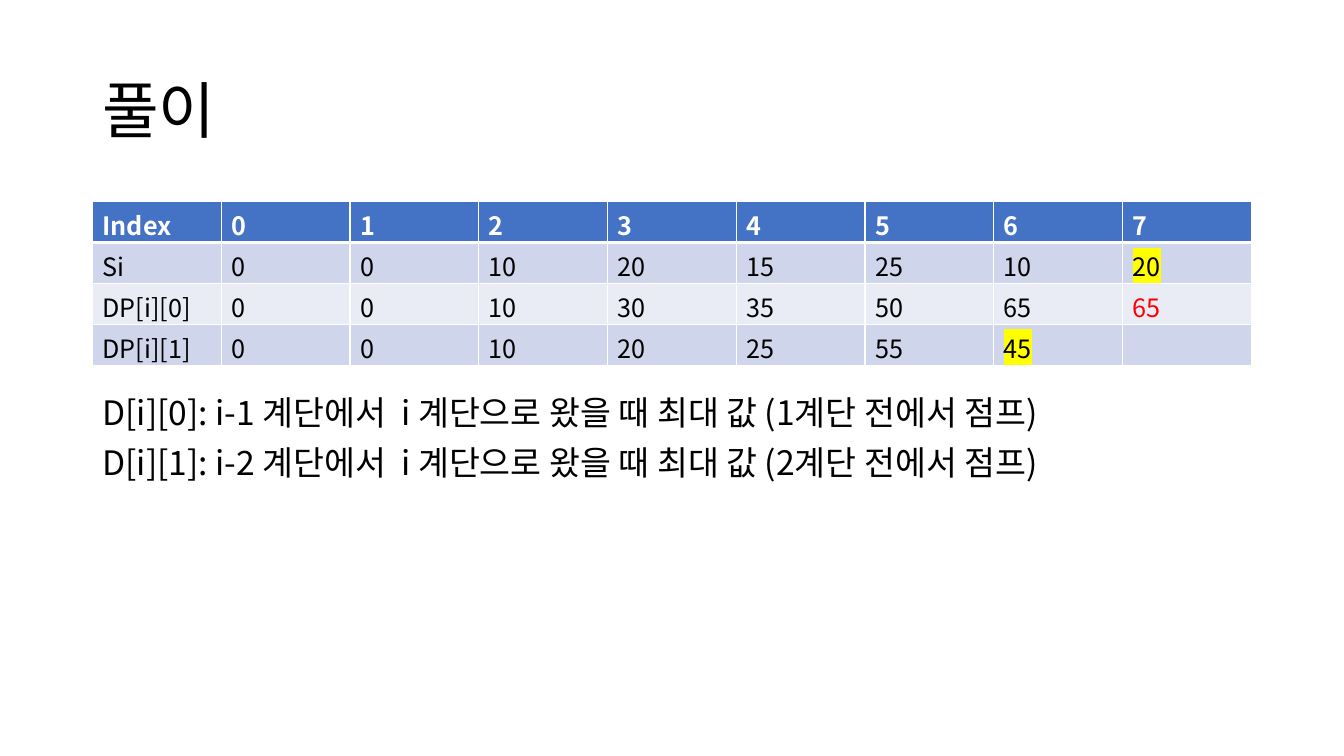
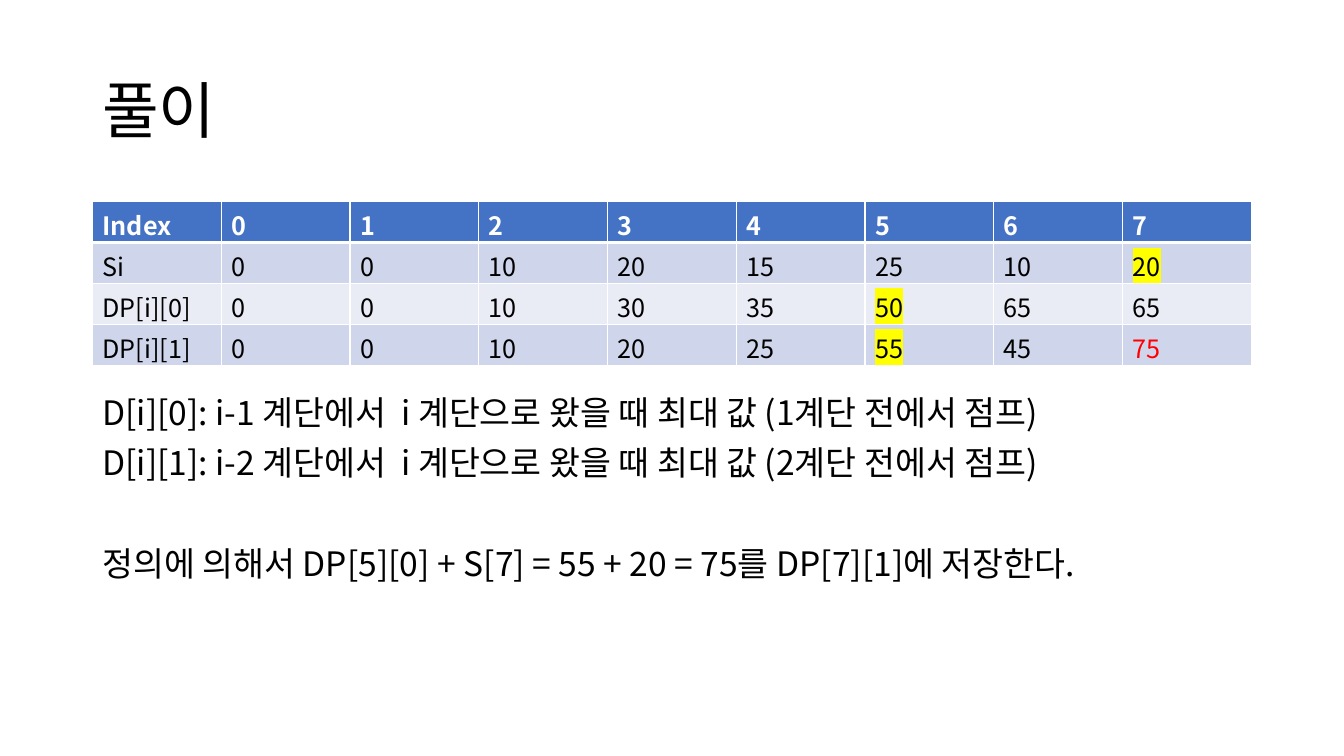
from dataclasses import dataclass

import pptx
import pptx.dml.color
import pptx.enum.text
import pptx.oxml
import pptx.oxml.ns
import pptx.util
from pptx.util import Cm

# Content
HEADING = "풀이"
DEFINITIONS = [
    "D[i][0]: i-1 계단에서  i 계단으로 왔을 때 최대 값 (1계단 전에서 점프)",
    "D[i][1]: i-2 계단에서  i 계단으로 왔을 때 최대 값 (2계단 전에서 점프)",
]
STAIRS = [
    ["Index", 0, 1, 2, 3, 4, 5, 6, 7],
    ["Si", 0, 0, 10, 20, 15, 25, 10, 20],
    ["DP[i][0]", 0, 0, 10, 30, 35, 50, 65, 65],
]
TWO_STEP = ["DP[i][1]", 0, 0, 10, 20, 25, 55, 45]

# Each step: last value of DP[i][1], (row, column) of used and found cells, conclusion
STEPS = [
    {"last": "", "used": {(1, 8), (3, 7)}, "found": (2, 8), "conclusion": None},
    {"last": 75, "used": {(1, 8), (2, 6), (3, 6)}, "found": (3, 8),
     "conclusion": "정의에 의해서 DP[5][0] + S[7] = 55 + 20 = 75를 DP[7][1]에 저장한다."},
]


@dataclass(frozen=True)
class Theme:
    font: str = "Noto Sans CJK KR"
    heading_size: int = 44
    body_size: int = 24
    table_size: int = 18
    text: str = "000000"
    header_text: str = "FFFFFF"
    found: str = "FF0000"
    used: str = "FFFF00"
    header_fill: str = "4472C4"
    bands: tuple = ("E9EBF5", "CFD5EA")
    grid: str = "FFFFFF"
    line_spacing: float = 0.9
    paragraph_gap: int = 10
    conclusion_gap: int = 46


THEME = Theme()

# Layout
LEFT, WIDTH = Cm(2.33), Cm(29.21)
HEADING_TOP, HEADING_HEIGHT = Cm(1.01), Cm(3.68)
TABLE_TOP, ROW_HEIGHT = Cm(5.08), Cm(1.03)
BODY_TOP, BODY_HEIGHT = Cm(9.86), Cm(7.29)


def rgb(value):
    return pptx.dml.color.RGBColor.from_string(value)


def xml_child(parent, markup):
    child = pptx.oxml.parse_xml(markup.replace(">", f" {pptx.oxml.ns.nsdecls('a')}>", 1))
    parent.append(child)


def add_run(paragraph, text, size, color=THEME.text, bold=False, highlight=None):
    run = paragraph.add_run()
    run.text = text
    run.font.size = pptx.util.Pt(size)
    run.font.bold = bold
    run.font.color.rgb = rgb(color)
    properties = run._r.get_or_add_rPr()
    if highlight:
        xml_child(properties, f'<a:highlight><a:srgbClr val="{highlight}"/></a:highlight>')
    run.font.name = THEME.font
    xml_child(properties, f'<a:ea typeface="{THEME.font}"></a:ea>')


def add_text(slide, top, height, lines, size, anchor):
    """Add one text box; lines holds (text, points before) pairs."""
    frame = slide.shapes.add_textbox(LEFT, top, WIDTH, height).text_frame
    frame.word_wrap = True
    frame.vertical_anchor = anchor
    for number, (text, gap) in enumerate(lines):
        paragraph = frame.add_paragraph() if number else frame.paragraphs[0]
        paragraph.line_spacing = THEME.line_spacing
        paragraph.space_before = pptx.util.Pt(gap)
        add_run(paragraph, text, size)


def add_borders(cell, row):
    properties = cell._tc.get_or_add_tcPr()
    points = {"L": 1, "R": 1, "T": 3 if row == 1 else 1, "B": 3 if row == 0 else 1}
    for side, width in points.items():
        xml_child(properties,
                  f'<a:ln{side} w="{pptx.util.Pt(width)}"><a:solidFill>'
                  f'<a:srgbClr val="{THEME.grid}"/></a:solidFill></a:ln{side}>')


def add_stairs_table(slide, step):
    values = STAIRS + [TWO_STEP + [step["last"]]]
    columns = len(values[0])
    table = slide.shapes.add_table(len(values), columns, LEFT, TABLE_TOP,
                                   WIDTH, ROW_HEIGHT * len(values)).table
    table.horz_banding = False
    for column in table.columns:
        column.width = WIDTH // columns
    for row, row_values in enumerate(values):
        table.rows[row].height = ROW_HEIGHT
        is_header = row == 0
        for column, value in enumerate(row_values):
            cell = table.cell(row, column)
            add_borders(cell, row)
            cell.fill.solid()
            cell.fill.fore_color.rgb = rgb(THEME.header_fill if is_header else THEME.bands[row % 2])
            if value == "":
                continue
            color = THEME.header_text if is_header else THEME.text
            if (row, column) == step["found"]:
                color = THEME.found
            highlight = THEME.used if (row, column) in step["used"] else None
            add_run(cell.text_frame.paragraphs[0], str(value), THEME.table_size,
                    color, is_header, highlight)


def add_step_slide(deck, step):
    slide = deck.slides.add_slide(deck.slide_layouts[6])
    anchors = pptx.enum.text.MSO_ANCHOR
    add_text(slide, HEADING_TOP, HEADING_HEIGHT, [(HEADING, 0)],
             THEME.heading_size, anchors.MIDDLE)
    lines = [(text, THEME.paragraph_gap) for text in DEFINITIONS]
    if step["conclusion"]:
        lines.append((step["conclusion"], THEME.conclusion_gap))
    add_text(slide, BODY_TOP, BODY_HEIGHT, lines, THEME.body_size, anchors.TOP)
    add_stairs_table(slide, step)


# Build
deck = pptx.Presentation()
deck.slide_width, deck.slide_height = Cm(33.87), Cm(19.05)
for step in STEPS:
    add_step_slide(deck, step)
deck.save("out.pptx")
